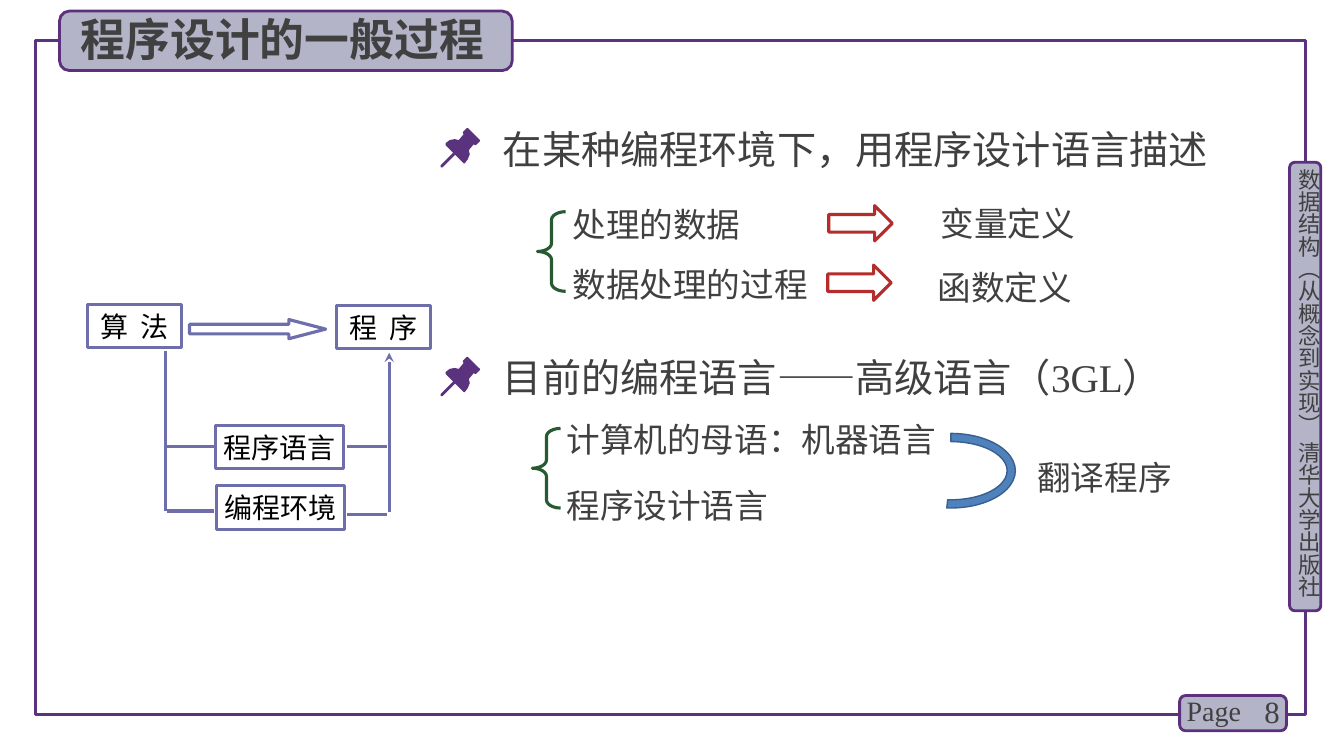
import pptx
import pptx.util
import pptx.dml.color
import pptx.enum.shapes
import pptx.enum.text
import pptx.oxml
import pptx.oxml.ns

px = 9144  # 100 px to the inch
kinds = pptx.enum.shapes.MSO_SHAPE
align = pptx.enum.text.PP_ALIGN
anchor = pptx.enum.text.MSO_ANCHOR
theme = dict(
    ink="404040", black="000000", frame="5A327D", edge="5C307D", tab="B4B4C8",
    flow="6E6EAA", brace="285A32", arrow="B42D2D", arc="4F81BD", rim="3A5F8C",
    sans="Noto Sans CJK SC", serif="Times New Roman",
    title=32, item=28, sub=24, number=22, label=20, side=16,
)


def color(name):
    return pptx.dml.color.RGBColor.from_string(theme[name])


def style(shape, fill=None, line=None, width=2.25, adjust=()):
    """Set fill, outline and adjustments, and drop the shadow."""
    shape.shadow.inherit = False
    if fill:
        shape.fill.solid()
        shape.fill.fore_color.rgb = color(fill)
    else:
        shape.fill.background()
    if line:
        shape.line.color.rgb = color(line)
        shape.line.width = pptx.util.Pt(width)
    else:
        shape.line.fill.background()
    for i, value in enumerate(adjust):
        shape.adjustments[i] = value
    return shape


def write(shape, *runs, size="sub", ink="ink", bold=False, side=align.LEFT,
          lead=None, pad=(10, 5), mid=anchor.TOP, gap=0):
    """Fill a shape with one paragraph; ASCII runs take the serif font."""
    frame = shape.text_frame
    look = dict(word_wrap=True, auto_size=pptx.enum.text.MSO_AUTO_SIZE.NONE,
                vertical_anchor=mid, margin_left=pad[0] * px, margin_right=pad[0] * px,
                margin_top=pad[1] * px, margin_bottom=pad[1] * px)
    for key, value in look.items():
        setattr(frame, key, value)
    para = frame.paragraphs[0]
    para.alignment = side
    if lead:
        para.line_spacing = lead
    for words in runs:
        run = para.add_run()
        run.text = words
        face = theme["serif" if words.isascii() else "sans"]
        for key, value in dict(name=face, size=pptx.util.Pt(theme[size]), bold=bold).items():
            setattr(run.font, key, value)
        run.font.color.rgb = color(ink)
        props = run._r.get_or_add_rPr()
        if gap:
            props.set("spc", str(gap))
        east = pptx.oxml.parse_xml(
            f'<a:ea {pptx.oxml.ns.nsdecls("a")} typeface="{theme["sans"]}"/>')
        props.find(pptx.oxml.ns.qn("a:latin")).addnext(east)


deck = pptx.Presentation()
deck.slide_width, deck.slide_height = 1333 * px, 750 * px
slide = deck.slides.add_slide(deck.slide_layouts[5])
shapes = slide.shapes

# Page frame, with tabs for the side text, the page number and the title
style(shapes.add_shape(kinds.RECTANGLE, 35 * px, 40 * px, 1260 * px, 669 * px), line="frame")
for box in ((1279, 161, 31, 445), (1170, 690, 106, 35), (59, 11, 449, 59)):
    style(shapes.add_shape(kinds.ROUNDED_RECTANGLE, *[n * px for n in box]), "tab", "edge", 2)

title = shapes.title
shapes._spTree.append(title._element)
for key, value in dict(left=70, top=7, width=444, height=64).items():
    setattr(title, key, value * px)
write(title, "程序设计的一般过程", size="title", bold=True)

spine = shapes.add_textbox(1285 * px, 167 * px, 27 * px, 449 * px)
write(spine, "数据结构（从概念到实现） 清华大学出版社", size="side", pad=(0, 0))
spine.text_frame._txBody.bodyPr.set("vert", "eaVert")
number = shapes.add_textbox(1220 * px, 686 * px, 59 * px, 40 * px)
write(number, "8", size="number", side=align.RIGHT, mid=anchor.MIDDLE)
page = shapes.add_textbox(1167 * px, 683 * px, 78 * px, 44 * px)
write(page, "Page", size="label")

# Flow from algorithm to program
for words, x, y, wide, gap in (
    ("算 法", 87, 302, 93, 200), ("程 序", 334, 303, 93, 200),
    ("程序语言", 214, 422, 127, 0), ("编程环境", 215, 482, 127, 0),
):
    node = style(shapes.add_shape(kinds.RECTANGLE, x * px, y * px, wide * px, 43 * px), line="flow")
    write(node, words, size="label", ink="black", side=align.CENTER, pad=(6, 1),
          mid=anchor.MIDDLE, gap=gap)
style(shapes.add_shape(kinds.RIGHT_ARROW, 188 * px, 317 * px, 135 * px, 19 * px),
      line="flow", adjust=(0.5, 1.92))

rise = (386, 508, 386, 350)
for ends in ((164, 348, 164, 507), (166, 507, 212, 507), (344, 510, 384, 510),
             (164, 443, 212, 443), (344, 443, 384, 443), rise):
    link = shapes.add_connector(pptx.enum.shapes.MSO_CONNECTOR.STRAIGHT, *[n * px for n in ends])
    link.line.color.rgb = color("flow")
    link.line.width = pptx.util.Pt(2.25)
    if ends == rise:
        pptx.oxml.ns.qn("a:tailEnd")
        link.line._get_or_add_ln().append(pptx.oxml.parse_xml(
            f'<a:tailEnd {pptx.oxml.ns.nsdecls("a")} type="stealth"/>'))
    link._element.spPr.append(pptx.oxml.parse_xml(
        f'<a:effectLst {pptx.oxml.ns.nsdecls("a")}/>'))

# Main points, each marked with a push pin
head = ((476, 139), (464, 127), (463, 127), (459, 131), (459, 132), (460, 133), (455, 139),
        (451, 138), (446, 139), (442, 142), (442, 144), (460, 162), (461, 162), (464, 158),
        (466, 153), (465, 149), (470, 143), (471, 144), (472, 144), (476, 140))
needle = ((438, 166), (437, 166), (437, 164), (450, 151), (452, 151), (453, 152),
          (452, 153), (439, 166))
points = (("在某种编程环境下，用程序设计语言描述",),
          ("目前的编程语言——高级语言（", "3GL", "）"))
for i, runs in enumerate(points):
    drop = 227 * i
    for part in (head, needle):
        dots = [(x, y + drop) for x, y in part]
        path = shapes.build_freeform(*dots[0], scale=px)
        path.add_line_segments(dots[1:], close=True)
        style(path.convert_to_shape(), "frame")
    write(shapes.add_textbox(489 * px, (119 + drop) * px, 759 * px, 57 * px), *runs, size="item")

# Details beside braces and arrows
for x, y in ((533, 210), (528, 425)):
    style(shapes.add_shape(kinds.LEFT_BRACE, x * px, y * px, 28 * px, 79 * px),
          line="brace", adjust=(0.29, 0.5))
for x, y in ((822, 204), (821, 263)):
    style(shapes.add_shape(kinds.RIGHT_ARROW, x * px, y * px, 63 * px, 35 * px), line="arrow")
style(shapes.add_shape(kinds.BLOCK_ARC, 906 * px, 403 * px, 74 * px, 128 * px),
      "arc", "rim", 1, (108, 3.71, 0.11)).rotation = 90
for words, x, y, wide, high in (
    ("处理的数据", 558, 189, 282, 59), ("数据处理的过程", 558, 249, 313, 59),
    ("变量定义", 923, 188, 202, 59), ("函数定义", 920, 252, 205, 59),
    ("计算机的母语：机器语言", 552, 403, 470, 59), ("程序设计语言", 552, 468, 416, 54),
    ("翻译程序", 1019, 440, 205, 54),
):
    write(shapes.add_textbox(x * px, y * px, wide * px, high * px), words, lead=1.2)

deck.save("out.pptx")
